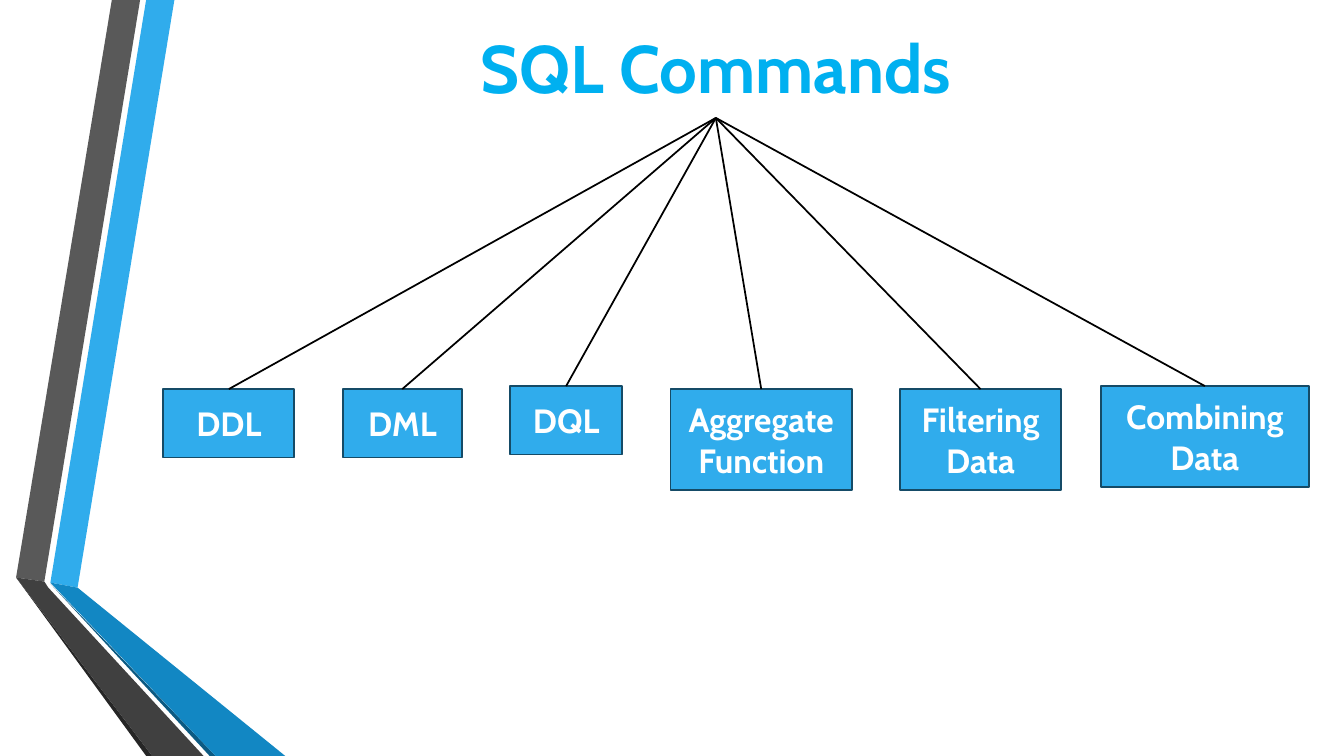
"""Build the SQL Commands tree slide."""
from lxml.etree import SubElement
from pptx import Presentation
from pptx.dml.color import RGBColor
from pptx.enum.shapes import MSO_CONNECTOR as Link, MSO_SHAPE as Kind
from pptx.enum.text import MSO_ANCHOR as Anchor, MSO_AUTO_SIZE as Fit, PP_ALIGN as Align
from pptx.oxml.ns import qn
from pptx.util import Inches, Pt

HUES = {"title": "00B0F0", "box": "30ACEC", "edge": "154B67", "text": "FFFFFF",
        "line": "000000", "gray": "595959", "dark": "404040", "black": "262626",
        "deep": "1287C3", "navy": "0C5A82"}

BANDS = [
    ("box", [(0.5, 5.78), (0.77, 5.83), (1.73, 0), (1.45, 0)]),
    ("gray", [(1.39, 0), (1.11, 0), (0.16, 5.73), (0.44, 5.77)]),
    ("black", [(0.16, 5.73), (1.45, 7.5), (1.51, 7.5)]),
    ("navy", [(0.5, 5.79), (2.08, 7.5), (2.14, 7.5)]),
    ("deep", [(0.5, 5.78), (2.14, 7.5), (2.83, 7.5), (0.77, 5.83)]),
    ("dark", [(2.02, 7.5), (0.48, 5.83), (0.44, 5.77), (0.16, 5.73), (1.51, 7.5)]),
]

BOXES = [
    ("DDL", 1.62, 3.86, 1.3, 0.68),
    ("DML", 3.4, 3.86, 1.18, 0.68),
    ("DQL", 5.06, 3.83, 1.11, 0.68),
    ("Aggregate\nFunction", 6.65, 3.86, 1.8, 1),
    ("Filtering Data", 8.93, 3.86, 1.59, 1),
    ("Combining Data", 10.92, 3.83, 2.06, 1),
]


def tint(name):
    return RGBColor.from_string(HUES[name])


def paint(shape, hue):
    shape.shadow.inherit = False
    shape.fill.solid()
    shape.fill.fore_color.rgb = tint(hue)


def stroke(line, hue):
    line.color.rgb = tint(hue)
    line.width = Pt(1.25)


def write(shape, text, size, hue):
    frame = shape.text_frame
    frame.text = text
    for key, value in {"word_wrap": True, "auto_size": Fit.NONE,
                       "vertical_anchor": Anchor.MIDDLE}.items():
        setattr(frame, key, value)
    for para in frame.paragraphs:
        para.alignment = Align.CENTER
        for key, value in {"name": "Cabin", "size": Pt(size), "bold": True}.items():
            setattr(para.font, key, value)
        para.font.color.rgb = tint(hue)


def add_band(slide, hue, points):
    spots = [(Inches(x), Inches(y)) for x, y in points]
    pen = slide.shapes.build_freeform(*spots[0])
    pen.add_line_segments(spots[1:], close=True)
    band = pen.convert_to_shape()
    paint(band, hue)
    band.line.fill.background()


def add_title(slide, text):
    title = slide.shapes.title
    for key, value in {"left": 1.62, "top": 0.15, "width": 10.96, "height": 1.02}.items():
        setattr(title, key, Inches(value))
    write(title, text, 48, "title")
    return title


def add_box(slide, text, *place):
    box = slide.shapes.add_shape(Kind.RECTANGLE, *map(Inches, place))
    paint(box, "box")
    stroke(box.line, "edge")
    write(box, text, 24, "text")
    return box


def add_link(slide, box, title):
    link = slide.shapes.add_connector(Link.STRAIGHT, 0, 0, 0, 0)
    link.begin_connect(box, 0)
    link.end_connect(title, 2)
    stroke(link.line, "line")
    SubElement(link._element.spPr, qn("a:effectLst"))


def main():
    deck = Presentation()
    deck.slide_width, deck.slide_height = Inches(13.33), Inches(7.5)
    slide = deck.slides.add_slide(deck.slide_layouts[5])
    for hue, points in BANDS:
        add_band(slide, hue, points)
    title = add_title(slide, "SQL Commands")
    boxes = [add_box(slide, *box) for box in BOXES]
    for box in boxes:
        add_link(slide, box, title)
    deck.save("out.pptx")


if __name__ == "__main__":
    main()
